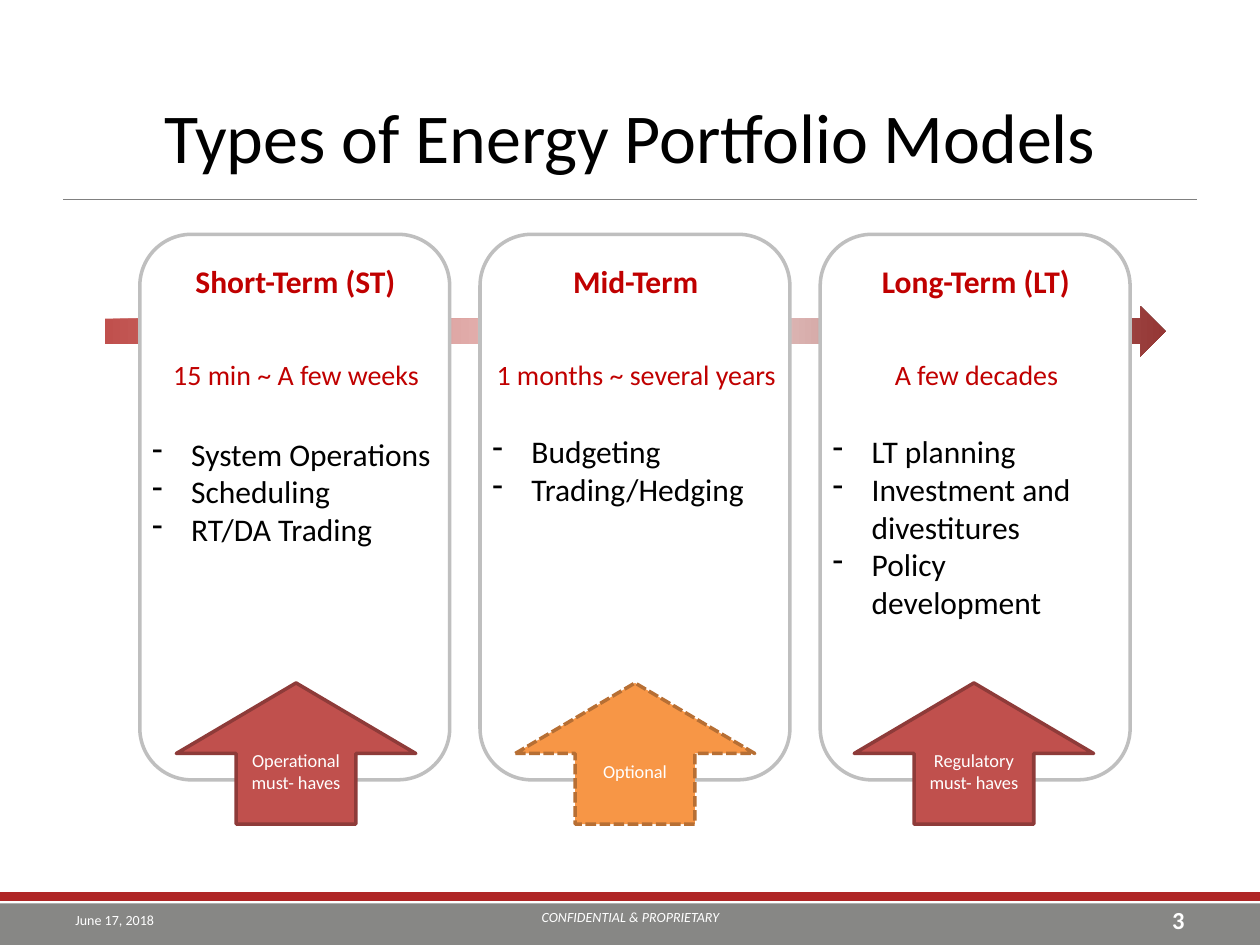
from copy import deepcopy

from lxml import etree
from pptx import Presentation
from pptx.dml.color import RGBColor
from pptx.enum.dml import MSO_LINE
from pptx.enum.shapes import MSO_CONNECTOR, MSO_SHAPE
from pptx.enum.text import MSO_ANCHOR, PP_ALIGN
from pptx.oxml.ns import qn
from pptx.util import Inches, Pt

RECTANGLE, ROUNDED = MSO_SHAPE.RECTANGLE, MSO_SHAPE.ROUNDED_RECTANGLE
RIGHT_ARROW, UP_ARROW = MSO_SHAPE.RIGHT_ARROW, MSO_SHAPE.UP_ARROW
STRAIGHT = MSO_CONNECTOR.STRAIGHT
LEFT, CENTER, RIGHT = PP_ALIGN.LEFT, PP_ALIGN.CENTER, PP_ALIGN.RIGHT
TOP, MIDDLE = MSO_ANCHOR.TOP, MSO_ANCHOR.MIDDLE
DASHED = MSO_LINE.SQUARE_DOT

BLACK = RGBColor(0x00, 0x00, 0x00)
WHITE = RGBColor(0xFF, 0xFF, 0xFF)
GRAY = RGBColor(0x80, 0x80, 0x80)
FOOTER_GRAY = RGBColor(0x87, 0x87, 0x85)
BORDER_GRAY = RGBColor(0xBF, 0xBF, 0xBF)
FOOTER_RED = RGBColor(0xAF, 0x26, 0x26)
TEXT_RED = RGBColor(0xC0, 0x00, 0x00)
RED = RGBColor(0xC0, 0x50, 0x4D)
OUTLINE_RED = RGBColor(0x8E, 0x3B, 0x39)
PALE_RED = RGBColor(0xF2, 0xDC, 0xDB)
DARK_RED = RGBColor(0x95, 0x37, 0x35)
ORANGE = RGBColor(0xF7, 0x96, 0x46)
OUTLINE_ORANGE = RGBColor(0xB7, 0x6F, 0x34)


class SlideBuilder:
    font_name = "Calibri"

    def __init__(self, slide):
        self.slide = slide
        self.shapes = slide.shapes

    def start_group(self):
        self.shapes = self.slide.shapes.add_group_shape().shapes

    def end_group(self):
        self.shapes = self.slide.shapes

    def shape(self, kind, left, top, width, height, fill=None, line=None, dash=None):
        shape = self.shapes.add_shape(
            kind, Inches(left), Inches(top), Inches(width), Inches(height))
        shape.shadow.inherit = False
        if fill is not None:
            shape.fill.solid()
            shape.fill.fore_color.rgb = fill
        if line is None:
            shape.line.fill.background()
        else:
            shape.line.color.rgb = line
            shape.line.width = Pt(2)
            if dash is not None:
                shape.line.dash_style = dash
        return shape

    def gradient_arrow(self, left, top, width, height, stops):
        shape = self.shape(RIGHT_ARROW, left, top, width, height)
        shape.fill.gradient()
        shape.fill.gradient_angle = 0
        stop_list = shape._element.spPr.find(".//" + qn("a:gsLst"))
        stop_list.insert(1, deepcopy(stop_list[0]))
        for stop, (position, color) in zip(shape.fill.gradient_stops, stops):
            stop.position = position
            stop.color.rgb = color

    def rule(self, left, right, y, color):
        connector = self.shapes.add_connector(
            STRAIGHT, Inches(left), Inches(y), Inches(right), Inches(y))
        connector.line.color.rgb = color
        connector.line.width = Pt(0.5)
        etree.SubElement(connector._element.spPr, qn("a:effectLst"))

    def set_text(self, shape, lines, size, color, align=CENTER, anchor=MIDDLE,
                 bold=False, italic=False, bullet=None):
        frame = shape.text_frame
        frame.word_wrap = True
        frame.vertical_anchor = anchor
        frame.text = "\n".join(lines)
        for paragraph in frame.paragraphs:
            paragraph.alignment = align
            font = paragraph.font
            font.name, font.size, font.color.rgb = self.font_name, Pt(size), color
            font.bold, font.italic = bold, italic
            if bullet:
                properties = paragraph._p.get_or_add_pPr()
                properties.set("marL", str(Inches(0.31)))
                properties.set("indent", str(-Inches(0.31)))
                character = etree.Element(qn("a:buChar"), char=bullet)
                properties.insert_element_before(
                    character, "a:tabLst", "a:defRPr", "a:extLst")

    def text(self, left, top, width, height, lines, size, color, **style):
        box = self.shapes.add_textbox(
            Inches(left), Inches(top), Inches(width), Inches(height))
        self.set_text(box, lines, size, color, **style)

    def card(self, left, heading, horizon, uses, uses_top):
        width = 2.46
        self.start_group()
        self.shape(ROUNDED, left, 1.86, width, 4.33, WHITE, BORDER_GRAY)
        self.text(left + 0.11, 2.03, 2.25, 0.4, [heading], 18, TEXT_RED,
                  anchor=TOP, bold=True)
        self.text(left - 0.03, 2.79, 2.54, 0.37, [horizon], 16, TEXT_RED, anchor=TOP)
        self.text(left, uses_top, width, 0.1 + 0.3 * len(uses), uses, 18, BLACK,
                  align=LEFT, anchor=TOP, bullet="-")
        self.end_group()

    def need_arrow(self, left, label, fill, line, dash=None):
        arrow = self.shape(UP_ARROW, left, 5.42, 1.9, 1.12, fill, line, dash)
        self.set_text(arrow, [label], 10.5, WHITE)


def main():
    presentation = Presentation()
    presentation.slide_width = Inches(10)
    presentation.slide_height = Inches(7.5)
    builder = SlideBuilder(presentation.slides.add_slide(presentation.slide_layouts[6]))

    # Title and footer
    builder.shape(RECTANGLE, 0, 7.08, 10, 0.07, FOOTER_RED)
    builder.shape(RECTANGLE, 0, 7.17, 10, 0.33, FOOTER_GRAY)
    builder.rule(0.5, 9.5, 1.58, GRAY)
    builder.text(0.5, 0.6, 9, 0.95, ["Types of Energy Portfolio Models"], 40, BLACK)
    builder.text(7.17, 7.1, 2.33, 0.4, ["3"], 14, WHITE, align=RIGHT, bold=True)
    builder.text(3.42, 7.08, 3.17, 0.4, ["CONFIDENTIAL & PROPRIETARY"], 8, WHITE,
                 italic=True)
    builder.text(0.5, 7.1, 2.33, 0.4, ["June 17, 2018"], 8, WHITE, align=LEFT)

    # Time line behind the cards
    builder.gradient_arrow(0.83, 2.43, 8.42, 0.4,
                           [(0, RED), (0.53, PALE_RED), (1, DARK_RED)])

    # One card per time horizon
    cards = [
        ("Short-Term (ST)", "15 min ~ A few weeks",
         ["System Operations", "Scheduling", "RT/DA Trading"], 3.4),
        ("Mid-Term", "1 months ~ several years",
         ["Budgeting", "Trading/Hedging"], 3.38),
        ("Long-Term (LT)", "A few decades",
         ["LT planning", "Investment and divestitures", "Policy development"], 3.38),
    ]
    for column, card in enumerate(cards):
        builder.card(1.11 + 2.7 * column, *card)

    # How necessary each model is
    needs = [
        ("Operational must- haves", RED, OUTLINE_RED),
        ("Optional", ORANGE, OUTLINE_ORANGE, DASHED),
        ("Regulatory must- haves", RED, OUTLINE_RED),
    ]
    for column, need in enumerate(needs):
        builder.need_arrow(1.4 + 2.69 * column, *need)

    presentation.save("out.pptx")


if __name__ == "__main__":
    main()
